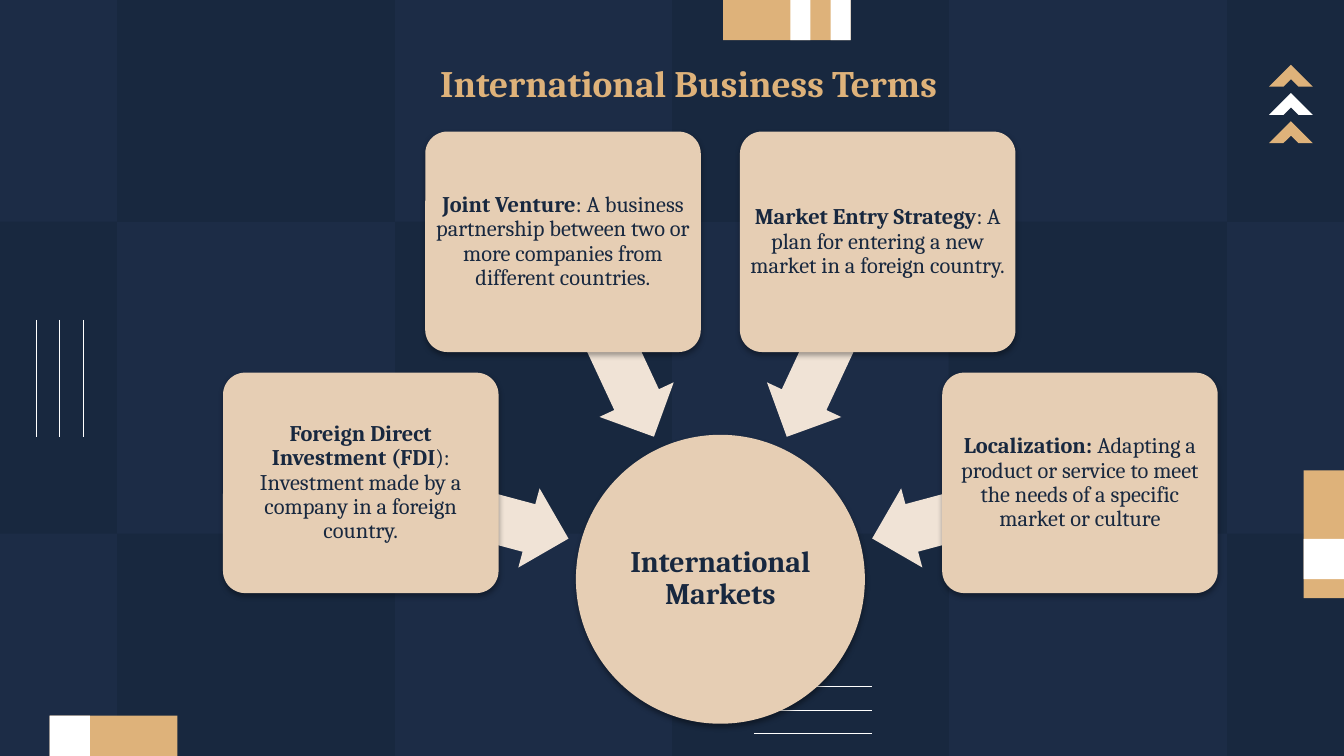
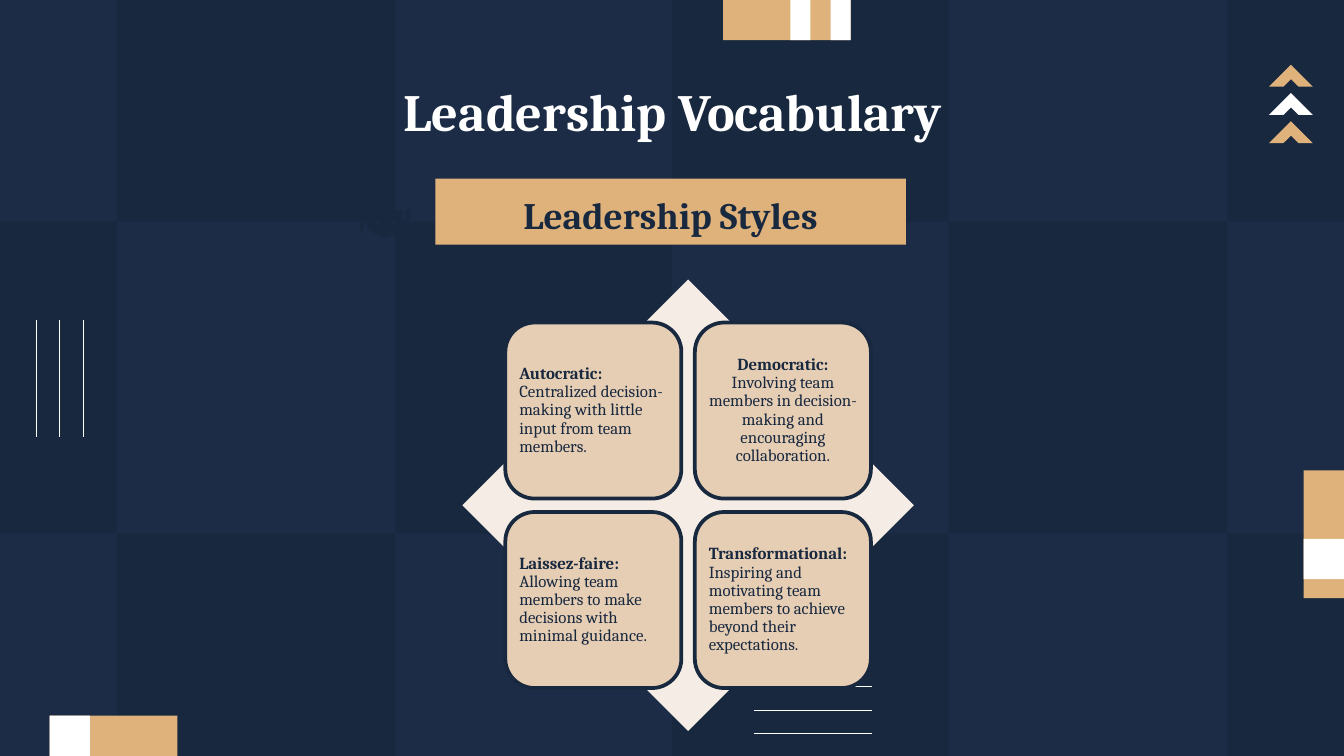
import math

import pptx
import pptx.dml.color
import pptx.enum.shapes
import pptx.enum.text
import pptx.oxml
import pptx.oxml.ns
import pptx.util

Inches = pptx.util.Inches
Pt = pptx.util.Pt
SHAPES = pptx.enum.shapes.MSO_SHAPE
ALIGN = pptx.enum.text.PP_ALIGN
ANCHOR = pptx.enum.text.MSO_ANCHOR

WIDTH = 10
HEIGHT = WIDTH * 9 / 16
FONT = "Cambria"
NAVY = "18283F"
CHECK = "1C2C46"
GOLD = "DEB27A"
WHITE = "FFFFFF"
SAND = "E6CEB4"
ARROW_SAND = "F0E3D6"
DIAMOND_SAND = "F5EDE5"

COLUMN_EDGES = [0, 0.87, 2.94, 5, 7.06, 9.13, WIDTH]
ROW_EDGES = [0, 1.65, 3.97, HEIGHT]
BANDS = [
    (5.38, 0, 0.95, 0.3, GOLD),
    (5.88, 0, 0.15, 0.3, WHITE),
    (6.18, 0, 0.15, 0.3, WHITE),
    (0.37, HEIGHT - 0.3, 0.95, 0.3, GOLD),
    (0.37, HEIGHT - 0.3, 0.3, 0.3, WHITE),
    (9.7, 3.5, 0.3, 0.95, GOLD),
    (9.7, 4.01, 0.3, 0.3, WHITE),
]
TERMS = [
    ("Foreign Direct Investment (FDI", "): Investment made by a company in a foreign country."),
    ("Joint Venture", ": A business partnership between two or more companies from different countries."),
    ("Market Entry Strategy", ": A plan for entering a new market in a foreign country."),
    ("Localization: ", "Adapting a product or service to meet the needs of a specific market or culture"),
]
STYLES = [
    ("Autocratic: ", "Centralized decision-making with little input from team members.", ALIGN.LEFT),
    ("Democratic:", " Involving team members in decision-making and encouraging collaboration.", ALIGN.CENTER),
    ("Laissez-faire: ", "Allowing team members to make decisions with minimal guidance.", ALIGN.LEFT),
    ("Transformational: ", "Inspiring and motivating team members to achieve beyond their expectations.", ALIGN.LEFT),
]
HANDS = [
    [(5, 17), (5, 30), (14, 36), (18, 37), (25, 35), (27, 32), (26, 29),
     (20, 23), (13, 27), (8, 24), (8, 19), (11, 17)],
    [(16, 17), (11, 19), (10, 23), (13, 24), (20, 21), (23, 23), (28, 28),
     (29, 31), (32, 30), (32, 17)],
]


def rgb(color):
    """Turn a hex string into a colour."""
    return pptx.dml.color.RGBColor.from_string(color)


def paint(shape, fill):
    """Give a shape a flat fill with no line and no shadow."""
    shape.shadow.inherit = False
    shape.fill.solid()
    shape.fill.fore_color.rgb = rgb(fill)
    shape.line.fill.background()


def add_box(slide, kind, left, top, width, height, fill):
    """Add a flat preset shape."""
    shape = slide.shapes.add_shape(kind, Inches(left), Inches(top), Inches(width), Inches(height))
    paint(shape, fill)
    return shape


def add_line(slide, left, top, right, bottom):
    """Add a thin white line."""
    line = slide.shapes.add_connector(
        pptx.enum.shapes.MSO_CONNECTOR.STRAIGHT, Inches(left), Inches(top), Inches(right), Inches(bottom))
    line.line.color.rgb = rgb(WHITE)
    line.line.width = Pt(0.75)
    line.element.spPr.append(pptx.oxml.parse_xml(
        f'<a:effectLst {pptx.oxml.ns.nsdecls("a")}/>'))


def add_soft_shadow(shape, opacity):
    """Put a soft black shadow under a shape."""
    effects = shape.element.spPr.find(pptx.oxml.ns.qn("a:effectLst"))
    effects.append(pptx.oxml.parse_xml(
        f'<a:outerShdw {pptx.oxml.ns.nsdecls("a")} blurRad="{Pt(3.1)}" dist="{Pt(1.7)}" dir="5400000" '
        f'algn="ctr" rotWithShape="0"><a:srgbClr val="000000"><a:alpha val="{opacity * 1000}"/>'
        '</a:srgbClr></a:outerShdw>'))


def write(shape, bold, plain, size, color=NAVY, align=ALIGN.CENTER, margin=0.1,
          anchor=ANCHOR.MIDDLE, spacing=0.9):
    """Fill a shape with one paragraph of bold text followed by plain text."""
    frame = shape.text_frame
    frame.word_wrap = True
    frame.auto_size = pptx.enum.text.MSO_AUTO_SIZE.NONE
    frame.vertical_anchor = anchor
    frame.margin_left = frame.margin_right = Inches(margin)
    frame.margin_top = frame.margin_bottom = Inches(margin)
    paragraph = frame.paragraphs[0]
    paragraph.alignment = align
    paragraph.line_spacing = spacing
    paragraph.space_before = Pt(0)
    for text, is_bold in ((bold, True), (plain, False)):
        if text:
            run = paragraph.add_run()
            run.text = text
            run.font.name = FONT
            run.font.size = Pt(size)
            run.font.bold = is_bold
            run.font.color.rgb = rgb(color)


def set_placeholder(shape, text, box, size, color, anchor=ANCHOR.TOP):
    """Move a placeholder to its box and write its heading."""
    shape.left, shape.top, shape.width, shape.height = map(Inches, box)
    write(shape, text, "", size, color, anchor=anchor, spacing=1.0)


def draw_backdrop(slide):
    """Draw the checkerboard, thin lines, bands and chevrons."""
    for row, (top, bottom) in enumerate(zip(ROW_EDGES, ROW_EDGES[1:])):
        for column, (left, right) in enumerate(zip(COLUMN_EDGES, COLUMN_EDGES[1:])):
            if (row + column) % 2 == 0:
                add_box(slide, SHAPES.RECTANGLE, left, top, right - left, bottom - top, CHECK)
    for index in range(3):
        offset = 0.35 * index / 2
        add_line(slide, 5.61, 5.11 + offset, 6.49, 5.11 + offset)
        add_line(slide, 0.27 + offset, 2.38, 0.27 + offset, 3.25)
    for left, top, width, height, color in BANDS:
        add_box(slide, SHAPES.RECTANGLE, left, top, width, height, color)
    for index, color in enumerate((GOLD, WHITE, GOLD)):
        chevron = add_box(slide, SHAPES.HALF_FRAME, 9.49, 0.53 + 0.21 * index, 0.23, 0.23, color)
        chevron.adjustments[0] = chevron.adjustments[1] = 0.33
        chevron.rotation = 45


def set_master(master, slide):
    """Draw the backdrop once and move it to the slide master."""
    master.background.fill.solid()
    master.background.fill.fore_color.rgb = rgb(NAVY)
    own_count = len(slide.shapes)
    draw_backdrop(slide)
    tree = master.shapes.element
    for shape in list(slide.shapes)[own_count:]:
        tree.append(shape.element)
    for number, node in enumerate(tree.xpath(".//p:cNvPr"), 1):
        node.set("id", str(number))


def add_market_hub(slide, center_x, center_y):
    """Place a hub circle with term cards on rays around its centre."""
    diameter, card_width, card_height, arrow_width, arrow_height = 2.15, 2.05, 1.64, 1.6, 0.61
    hub = add_box(slide, SHAPES.OVAL, center_x - diameter / 2, center_y - diameter / 2,
                  diameter, diameter, SAND)
    add_soft_shadow(hub, 38)
    write(hub, "International Markets", "", 16, margin=0.01)
    for index, (term, meaning) in enumerate(TERMS):
        angle = 195 + 50 * index
        ray_x, ray_y = math.cos(math.radians(angle)), math.sin(math.radians(angle))
        arrow = add_box(slide, SHAPES.LEFT_ARROW, center_x + 1.97 * ray_x - arrow_width / 2,
                        center_y + 1.97 * ray_y - arrow_height / 2, arrow_width, arrow_height, ARROW_SAND)
        arrow.adjustments[0] = 0.6
        arrow.rotation = angle
        card = add_box(slide, SHAPES.ROUNDED_RECTANGLE, center_x + 2.77 * ray_x - card_width / 2,
                       center_y + 2.77 * ray_y - card_height / 2, card_width, card_height, SAND)
        card.adjustments[0] = 0.1
        add_soft_shadow(card, 35)
        write(card, term, meaning, 12, margin=0.03)


def add_style_diamond(slide, left, top, size):
    """Place a diamond with a two by two grid of style tiles on it."""
    tile, gap = 1.31, 0.1
    inset = (size - 2 * tile - gap) / 2
    add_box(slide, SHAPES.DIAMOND, left, top, size, size, DIAMOND_SAND)
    for index, (name, meaning, align) in enumerate(STYLES):
        row, column = divmod(index, 2)
        card = add_box(slide, SHAPES.ROUNDED_RECTANGLE, left + inset + column * (tile + gap),
                       top + inset + row * (tile + gap), tile, tile, SAND)
        card.line.color.rgb = rgb(NAVY)
        card.line.width = Pt(2)
        write(card, name, meaning, 9, align=align, margin=0.04)


def add_handshake(slide, left, top):
    """Draw a small handshake with cuffs and a round badge."""
    add_box(slide, SHAPES.OVAL, left + 0.12, top, 0.14, 0.13, NAVY)
    for offset in (0, 0.34):
        add_box(slide, SHAPES.ROUNDED_RECTANGLE, left + offset, top + 0.16, 0.03, 0.16, NAVY)
    for points in HANDS:
        builder = slide.shapes.build_freeform(*points[0], scale=Inches(0.01))
        builder.add_line_segments(points[1:], close=True)
        paint(builder.convert_to_shape(Inches(left), Inches(top)), NAVY)


def build_terms_slide(slide):
    """Fill the slide on international business terms."""
    set_placeholder(slide.shapes.title, "International Business Terms", (0.91, 0.35, 8.43, 0.63), 20, GOLD)
    add_market_hub(slide, 5.36, 4.31)


def build_leadership_slide(slide):
    """Fill the slide on leadership styles."""
    banner = add_box(slide, SHAPES.RECTANGLE, 3.24, 1.33, 3.5, 0.49, GOLD)
    slide.shapes.element.insert(2, banner.element)
    set_placeholder(slide.shapes.title, "Leadership Vocabulary", (0.79, 0.49, 8.43, 0.63), 28, WHITE)
    set_placeholder(slide.placeholders[1], "Leadership Styles", (3.24, 1.25, 3.5, 0.61), 20, NAVY, ANCHOR.BOTTOM)
    add_style_diamond(slide, 3.44, 2.08, 3.36)
    add_handshake(slide, 2.68, 1.4)


def main():
    """Build and save the presentation."""
    presentation = pptx.Presentation()
    presentation.slide_width = Inches(WIDTH)
    presentation.slide_height = Inches(HEIGHT)
    terms_slide = presentation.slides.add_slide(presentation.slide_layouts[5])
    set_master(presentation.slide_master, terms_slide)
    build_terms_slide(terms_slide)
    build_leadership_slide(presentation.slides.add_slide(presentation.slide_layouts[0]))
    presentation.save("out.pptx")


if __name__ == "__main__":
    main()
